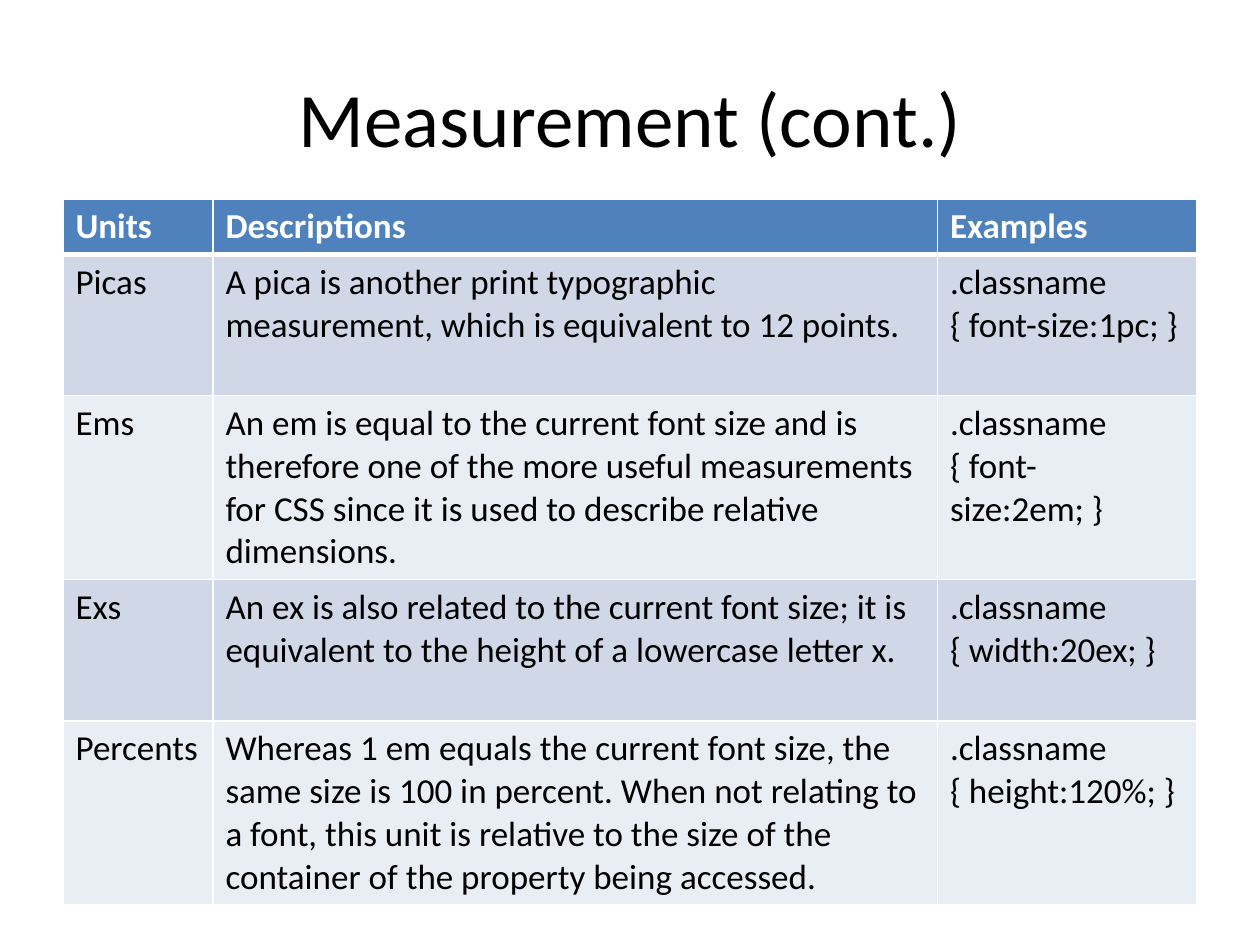
from lxml import etree
from pptx import Presentation
from pptx.dml.color import RGBColor
from pptx.enum.text import MSO_ANCHOR, PP_ALIGN
from pptx.oxml.ns import qn
from pptx.util import Inches, Pt

CENTER = PP_ALIGN.CENTER
MIDDLE = MSO_ANCHOR.MIDDLE
FONT = "Calibri"
COLORS = {
    "header": "4F81BD",
    "odd": "D0D8E8",
    "even": "E9EDF4",
    "text": "000000",
    "white": "FFFFFF",
}
UNITS = [
    ("Units", "Descriptions", "Examples"),
    ("Picas",
     "A pica is another print typographic measurement, which is equivalent to 12 points.",
     ".classname { font-size:1pc; }"),
    ("Ems",
     "An em is equal to the current font size and is therefore one of the more useful "
     "measurements for CSS since it is used to describe relative dimensions.",
     ".classname { font-size:2em; }"),
    ("Exs",
     "An ex is also related to the current font size; it is equivalent to the height of "
     "a lowercase letter x.",
     ".classname { width:20ex; }"),
    ("Percents",
     "Whereas 1 em equals the current font size, the same size is 100 in percent. When not "
     "relating to a font, this unit is relative to the size of the container of the "
     "property being accessed.",
     ".classname { height:120%; }"),
]
COLUMN_WIDTHS = [1.19, 5.75, 2.06]
ROW_HEIGHTS = [0.43, 1.12, 1.46, 1.12, 1.46]


def format_font(font, size, color, bold=False):
    values = {"name": FONT, "size": Pt(size), "bold": bold}
    for attribute, value in values.items():
        setattr(font, attribute, value)
    font.color.rgb = RGBColor.from_string(COLORS[color])


def add_border(cell, side, width):
    line = etree.SubElement(cell._tc.get_or_add_tcPr(), qn(f"a:ln{side}"), w=str(Pt(width)))
    fill = etree.SubElement(line, qn("a:solidFill"))
    etree.SubElement(fill, qn("a:srgbClr"), val=COLORS["white"])


prs = Presentation()
prs.slide_width = Inches(10)
prs.slide_height = Inches(7.5)
slide = prs.slides.add_slide(prs.slide_layouts[5])

title = slide.shapes.title
title_box = {"left": 0.5, "top": 0.3, "width": 9, "height": 1.25}
for attribute, value in title_box.items():
    setattr(title, attribute, Inches(value))
title.text_frame.text = "Measurement (cont.)"
title.text_frame.vertical_anchor = MIDDLE
heading = title.text_frame.paragraphs[0]
heading.alignment = CENTER
format_font(heading.runs[0].font, 44, "text")

units_table = slide.shapes.add_table(
    len(UNITS), len(COLUMN_WIDTHS), Inches(0.5), Inches(1.58),
    Inches(sum(COLUMN_WIDTHS)), Inches(sum(ROW_HEIGHTS)),
).table
for column, width in zip(units_table.columns, COLUMN_WIDTHS):
    column.width = Inches(width)

for row_index, (entries, height) in enumerate(zip(UNITS, ROW_HEIGHTS)):
    units_table.rows[row_index].height = Inches(height)
    is_header = row_index == 0
    band = "header" if is_header else "odd" if row_index % 2 else "even"
    borders = {
        "L": 1,
        "R": 1,
        "T": 3 if row_index == 1 else 1,
        "B": 3 if is_header else 1,
    }
    for column_index, entry in enumerate(entries):
        cell = units_table.cell(row_index, column_index)
        cell.text = entry
        format_font(cell.text_frame.paragraphs[0].runs[0].font, 20,
                    "white" if is_header else "text", is_header)
        for side, width in borders.items():
            add_border(cell, side, width)
        cell.fill.solid()
        cell.fill.fore_color.rgb = RGBColor.from_string(COLORS[band])

prs.save("out.pptx")
